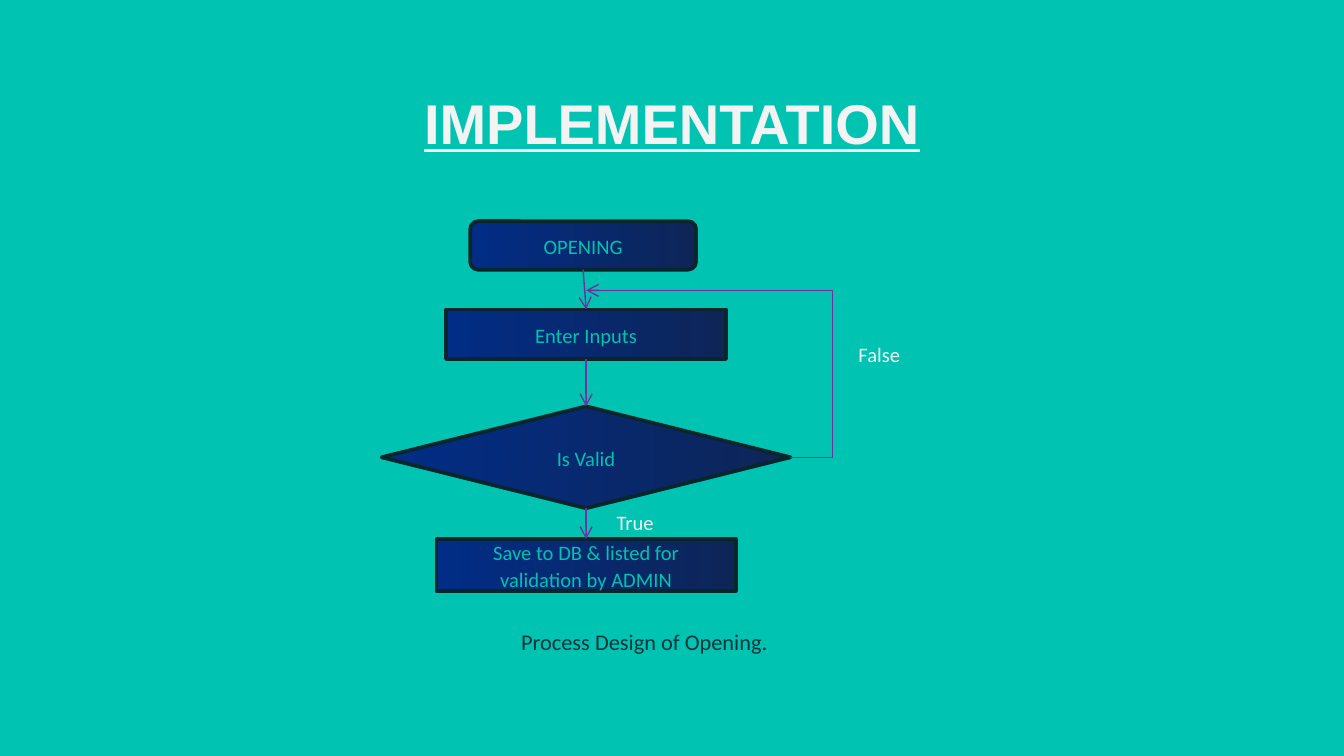
from pptx import Presentation
from pptx.util import Pt
from pptx.dml.color import RGBColor
from pptx.enum.shapes import MSO_SHAPE as SHAPE, MSO_CONNECTOR as CONN
from pptx.enum.text import PP_ALIGN as ALIGN, MSO_ANCHOR as ANCHOR
from pptx.oxml.ns import qn
from lxml.etree import SubElement

TEAL, WHITE, EDGE, PURPLE = "00C3B1", "F3F3F3", "09262D", "7030A0"
GRADIENT = ["012D86", "0E2557"]
AXIS = 314

STEPS = [
    ("OPENING", SHAPE.ROUNDED_RECTANGLE, 312.4, 118.5, 121, 26),
    ("Enter Inputs", SHAPE.RECTANGLE, AXIS, 165.8, 150, 26.6),
    ("Is Valid", SHAPE.DIAMOND, AXIS, 217.7, 219, 54.6),
    ("Save to DB & listed for validation by ADMIN", SHAPE.RECTANGLE, AXIS, 288.8, 160.4, 27.8),
]
LABELS = [("True", 323.3, 268.6, 88, 21), ("False", 452.8, 178.6, 88, 21)]
CAPTION = ("Process Design of Opening.", 218.2, 332, 254, 34)
LOOP_TOP, LOOP_RIGHT = 155.6, 446


def rgb(value):
    return RGBColor.from_string(value)


def write(sp, text, color, **formats):
    tf = sp.text_frame
    tf.word_wrap = True
    tf.vertical_anchor = formats.pop("anchor", ANCHOR.TOP)
    p = tf.paragraphs[0]
    p.alignment = formats.pop("align", ALIGN.CENTER)
    if formats.pop("spaced", True):
        p.line_spacing, p.space_after = 1.08, Pt(8)
    r = p.add_run()
    r.text = text
    r.font.color.rgb = rgb(color)
    for name, value in {"name": "Calibri", "size": Pt(11), **formats}.items():
        setattr(r.font, name, value)


def add_step(text, kind, cx, top, w, h):
    sp = s.shapes.add_shape(kind, Pt(cx - w / 2), Pt(top), Pt(w), Pt(h))
    sp.shadow.inherit = False
    sp.fill.gradient()
    sp.fill.gradient_angle = 0
    for stop, color, position in zip(sp.fill.gradient_stops, GRADIENT, (0, 1)):
        stop.color.rgb = rgb(color)
        stop.position = position
    sp.line.color.rgb = rgb(EDGE)
    sp.line.width = Pt(2)
    sp.text_frame.margin_left = sp.text_frame.margin_right = Pt(10)
    write(sp, text, TEAL, anchor=ANCHOR.MIDDLE)
    return sp


def add_arrow(kind, x1, y1, x2, y2):
    c = s.shapes.add_connector(kind, Pt(x1), Pt(y1), Pt(x2), Pt(y2))
    c.line.color.rgb = rgb(PURPLE)
    c.line.width = Pt(0.75)
    SubElement(c.line._get_or_add_ln(), qn("a:tailEnd"), type="arrow")
    SubElement(c._element.spPr, qn("a:effectLst"))
    return c


prs = Presentation()
prs.slide_width, prs.slide_height = Pt(720), Pt(405)
s = prs.slides.add_slide(prs.slide_layouts[5])
s.background.fill.solid()
s.background.fill.fore_color.rgb = rgb(TEAL)

title = s.shapes.title
for name, value in {"left": 56.7, "top": 40, "width": 606.6, "height": 45}.items():
    setattr(title, name, Pt(value))
for side in ("left", "top", "right", "bottom"):
    setattr(title.text_frame, f"margin_{side}", Pt(7.2))
write(title, "IMPLEMENTATION", WHITE, spaced=False,
      name="Arial", size=Pt(30), bold=True, underline=True)

for text, *box in LABELS:
    write(s.shapes.add_textbox(*map(Pt, box)), text, WHITE, align=ALIGN.LEFT)

steps = [add_step(*step) for step in STEPS]
for i in range(len(steps) - 1):
    (_, _, x1, top, _, h), (_, _, x2, y2, _, _) = STEPS[i:i + 2]
    c = add_arrow(CONN.STRAIGHT, x1, top + h, x2, y2)
    c.begin_connect(steps[i], 2)
    c.end_connect(steps[i + 1], 0)

_, _, cx, top, w, h = STEPS[2]
right = cx + w / 2
loop = add_arrow(CONN.ELBOW, right, top + h / 2, AXIS, LOOP_TOP)
bend = round((right - LOOP_RIGHT) / (right - AXIS) * 100000)
geom = loop._element.spPr.find(qn("a:prstGeom"))
SubElement(geom.find(qn("a:avLst")), qn("a:gd"), name="adj1", fmla=f"val {bend}")

text, *box = CAPTION
sp = s.shapes.add_shape(SHAPE.RECTANGLE, *map(Pt, box))
sp.shadow.inherit = False
sp.fill.solid()
sp.fill.fore_color.rgb = rgb(TEAL)
sp.line.fill.background()
write(sp, text, "0C343D", size=Pt(12))

prs.save("out.pptx")
